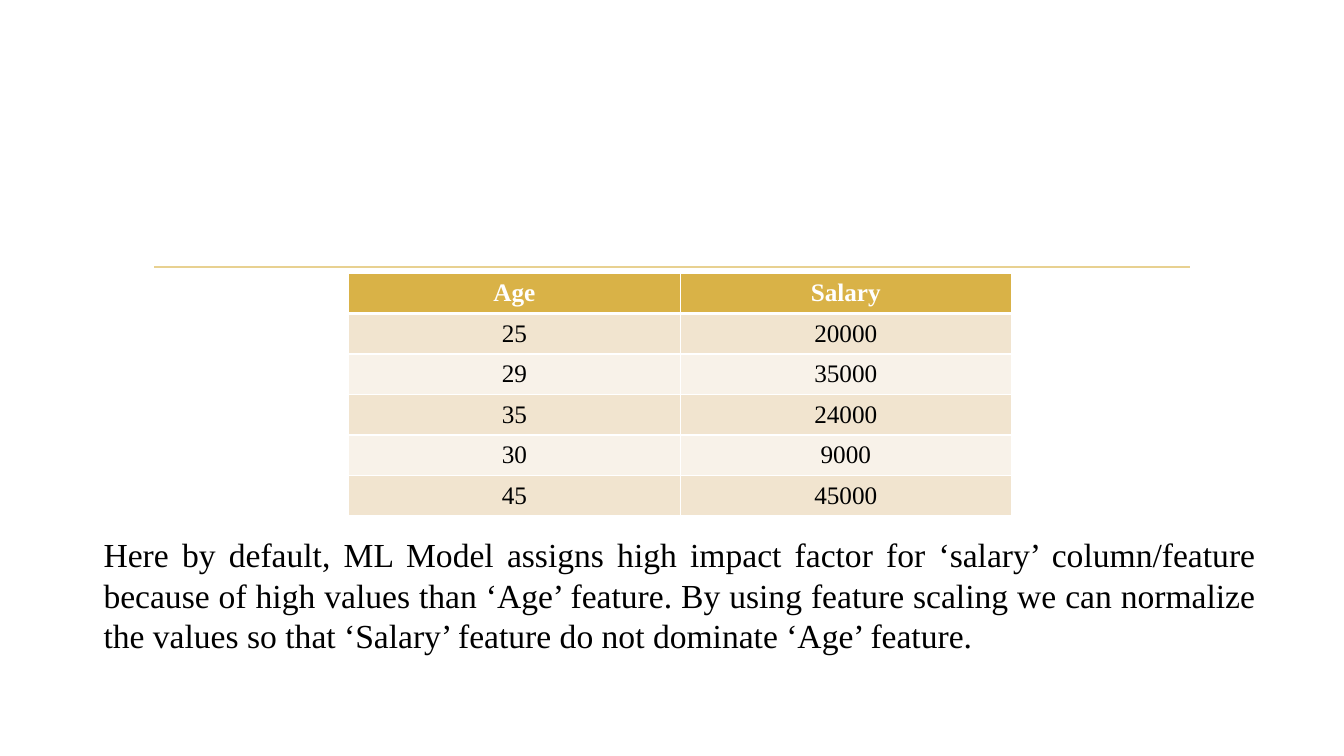
"""Build the slide that shows why salary outweighs age without feature scaling."""
from dataclasses import dataclass

from lxml.etree import SubElement
from pptx import Presentation
from pptx.dml.color import RGBColor
from pptx.enum.shapes import MSO_CONNECTOR as Connector
from pptx.enum.text import MSO_ANCHOR as Anchor, MSO_AUTO_SIZE as AutoSize, PP_ALIGN as Align
from pptx.oxml.ns import qn
from pptx.slide import Slide
from pptx.table import _Cell as Cell
from pptx.text.text import _Paragraph as Paragraph
from pptx.util import Cm, Pt

FONT = "Times New Roman"
WHITE = RGBColor(0xFF, 0xFF, 0xFF)
BLACK = RGBColor(0x00, 0x00, 0x00)
GOLD = RGBColor(0xD9, 0xB2, 0x47)
PALE_GOLD = RGBColor(0xE8, 0xD1, 0x91)
SAND = RGBColor(0xF1, 0xE4, 0xCF)
CREAM = RGBColor(0xF8, 0xF2, 0xE9)

THIN = Pt(1)
THICK = Pt(3)
COLUMN_WIDTH = Cm(8.35)
ROW_HEIGHT = Cm(1.02)
PEOPLE = [(25, 20000), (29, 35000), (35, 24000), (30, 9000), (45, 45000)]
EXPLANATION = (
    "Here by default, ML Model assigns high impact factor for ‘salary’ column/feature "
    "because of high values than ‘Age’ feature. By using feature scaling we can normalize "
    "the values so that ‘Salary’ feature do not dominate ‘Age’ feature."
)


@dataclass(frozen=True)
class TableRow:
    texts: tuple[str, str]
    fill: RGBColor
    color: RGBColor = BLACK
    bold: bool = False
    top: int = THIN
    bottom: int = THIN


def add_text(paragraph: Paragraph, text: str, size: int, color: RGBColor,
             alignment: Align, bold: bool = False) -> None:
    paragraph.alignment = alignment
    run = paragraph.add_run()
    run.text = text
    run.font.name = FONT
    run.font.size = Pt(size)
    run.font.bold = bold
    run.font.color.rgb = color


def add_borders(cell: Cell, row: TableRow) -> None:
    properties = cell._tc.get_or_add_tcPr()
    widths = {"a:lnL": THIN, "a:lnR": THIN, "a:lnT": row.top, "a:lnB": row.bottom}
    for tag, width in widths.items():
        border = SubElement(properties, qn(tag), w=str(int(width)))
        fill = SubElement(border, qn("a:solidFill"))
        SubElement(fill, qn("a:srgbClr"), val=str(WHITE))


def add_divider(slide: Slide) -> None:
    divider = slide.shapes.add_connector(
        Connector.STRAIGHT, Cm(3.89), Cm(6.73), Cm(30), Cm(6.73))
    divider.line.color.rgb = PALE_GOLD
    divider.line.width = Pt(1.25)
    SubElement(divider._element.spPr, qn("a:effectLst"))


def add_salary_table(slide: Slide, rows: list[TableRow]) -> None:
    table = slide.shapes.add_table(
        len(rows), 2, Cm(8.79), Cm(6.88), COLUMN_WIDTH * 2, ROW_HEIGHT * len(rows)).table
    for table_row, row in zip(table.rows, rows):
        table_row.height = ROW_HEIGHT
        for cell, text in zip(table_row.cells, row.texts):
            add_borders(cell, row)
            cell.fill.solid()
            cell.fill.fore_color.rgb = row.fill
            cell.vertical_anchor = Anchor.MIDDLE
            add_text(cell.text_frame.paragraphs[0], text, 18, row.color, Align.CENTER, row.bold)


def add_explanation(slide: Slide) -> None:
    text_frame = slide.shapes.add_textbox(Cm(2.36), Cm(13.34), Cm(29.54), Cm(3.33)).text_frame
    text_frame.word_wrap = True
    text_frame.auto_size = AutoSize.SHAPE_TO_FIT_TEXT
    add_text(text_frame.paragraphs[0], EXPLANATION, 24, BLACK, Align.JUSTIFY)


def main() -> None:
    presentation = Presentation()
    presentation.slide_width = Cm(33.87)
    presentation.slide_height = Cm(19.05)
    slide = presentation.slides.add_slide(presentation.slide_layouts[6])
    rows = [TableRow(("Age", "Salary"), GOLD, WHITE, bold=True, bottom=THICK)]
    for index, (age, salary) in enumerate(PEOPLE):
        rows.append(TableRow((str(age), str(salary)), CREAM if index % 2 else SAND,
                             top=THIN if index else THICK))
    add_divider(slide)
    add_salary_table(slide, rows)
    add_explanation(slide)
    presentation.save("out.pptx")


if __name__ == "__main__":
    main()
